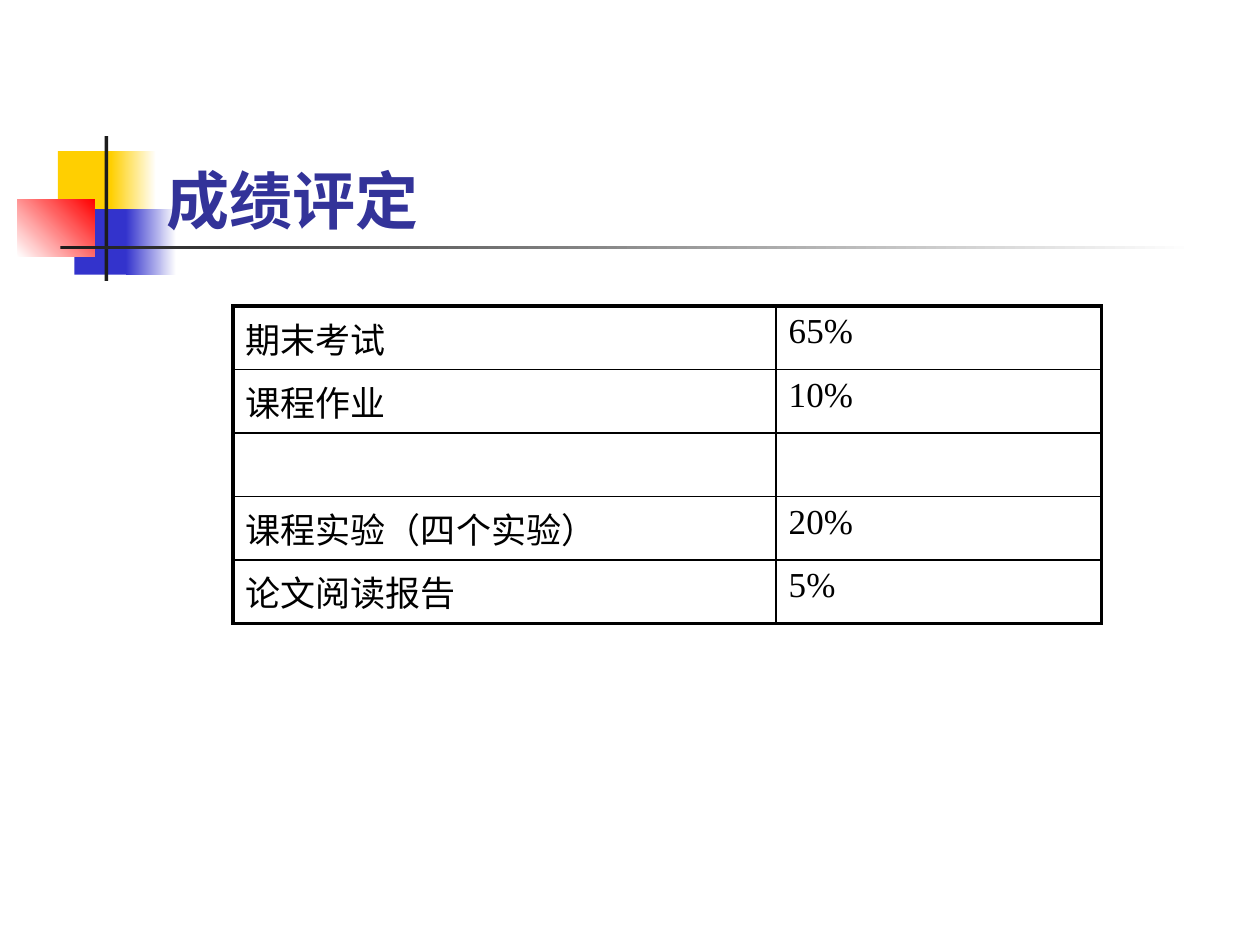
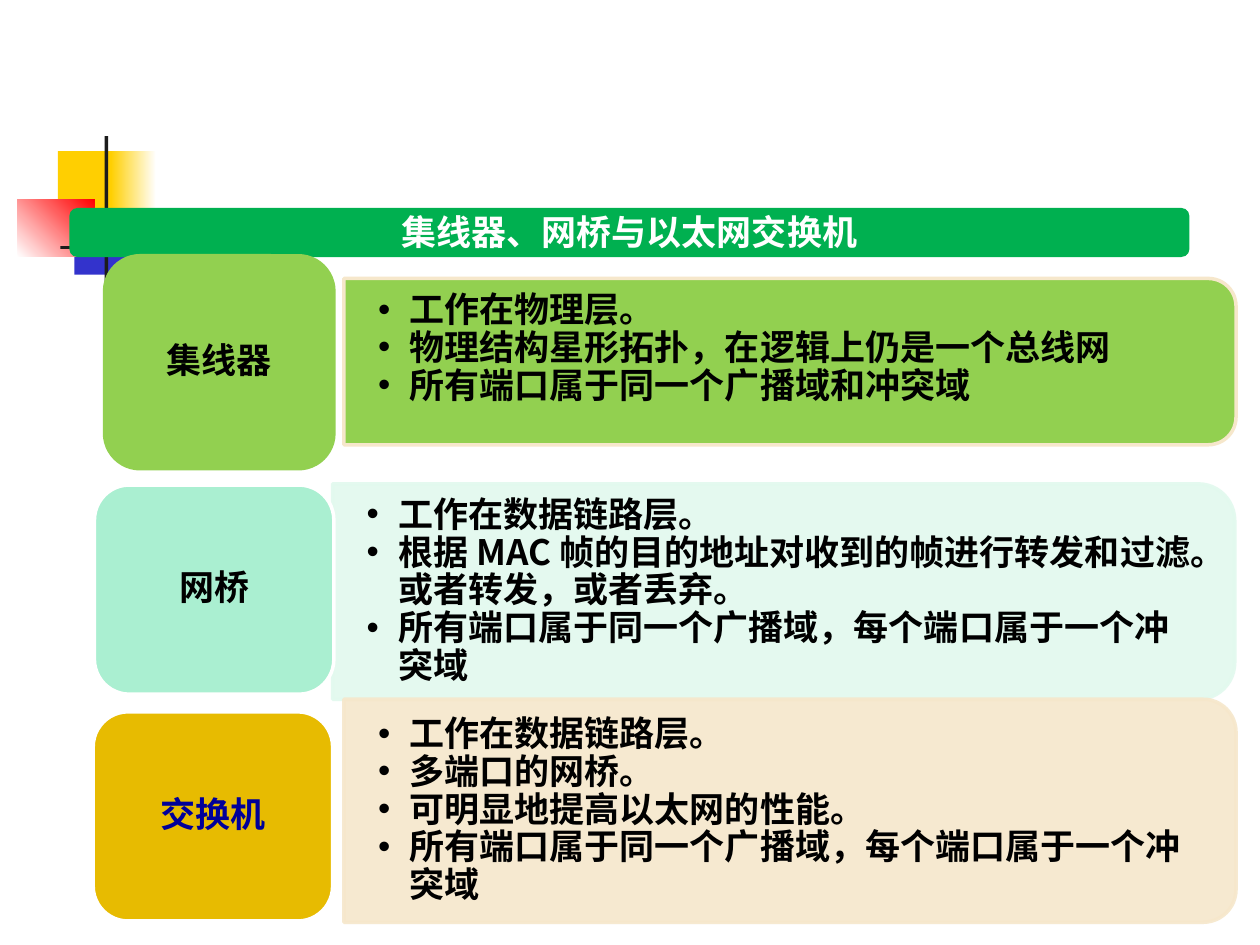
from math import cos, pi, sin

from lxml import etree
from pptx import Presentation
from pptx.dml.color import RGBColor
from pptx.enum.shapes import MSO_SHAPE as Shape
from pptx.enum.text import MSO_ANCHOR as Anchor, PP_ALIGN as Align
from pptx.oxml.ns import qn
from pptx.util import Inches, Pt

COLORS = {
    "yellow": "FFCF01", "blue": "3333CC", "red": "FF0000", "ink": "1C1C1C",
    "white": "FFFFFF", "black": "000000", "title": "333399", "banner": "00B050",
    "hub": "92D050", "bridge": "AAEFD1", "bridge_pale": "E2F9EE",
    "switch": "E7BB01", "switch_pale": "F6E7CB", "navy": "000099",
}
CJK_FONT = "Noto Sans CJK SC"
LATIN_FONT = "Times New Roman"
TITLE_FONT = "Cabin"

DECORATION = [
    (0.46, 1.2, 0.48, 0.52, ["yellow"], 0),
    (0.88, 1.2, 0.36, 0.52, ["yellow", "white"], 0),
    (0.59, 1.66, 0.46, 0.52, ["blue"], 0),
    (1, 1.66, 0.4, 0.52, ["blue", "white"], 0),
    (0.14, 1.58, 0.61, 0.46, ["white", "red"], 45),
    (0.83, 1.08, 0.03, 1.15, ["ink"], 0),
    (0.48, 1.95, 9, 0.03, ["ink", "white"], 0),
]
GRADES = [
    ("期末考试", "65%"),
    ("课程作业", "10%"),
    ("", ""),
    ("课程实验（四个实验）", "20%"),
    ("论文阅读报告", "5%"),
]
BRIDGE_POINTS = [
    "工作在数据链路层。",
    "根据 MAC 帧的目的地址对收到的帧进行转发和过滤。或者转发，或者丢弃。",
    "所有端口属于同一个广播域，每个端口属于一个冲突域",
]
SWITCH_POINTS = [
    "工作在数据链路层。",
    "多端口的网桥。",
    "可明显地提高以太网的性能。",
    "所有端口属于同一个广播域，每个端口属于一个冲突域",
]
HUB_POINTS = [
    "工作在物理层。",
    "物理结构星形拓扑，在逻辑上仍是一个总线网",
    "所有端口属于同一个广播域和冲突域",
]


def color(name):
    return RGBColor.from_string(COLORS[name])


def inches(*values):
    return [Inches(value) for value in values]


def style_font(paragraph, name, size, tone, bold=True):
    font = paragraph.font
    font.name, font.size, font.bold = name, Pt(size), bold
    font.color.rgb = color(tone)


def set_insets(frame, left, top, right, bottom):
    frame.margin_left, frame.margin_top, frame.margin_right, frame.margin_bottom = inches(
        left, top, right, bottom)


def paint(shape, fill, line=None):
    shape.shadow.inherit = False
    shape.fill.solid()
    shape.fill.fore_color.rgb = color(fill)
    if line:
        shape.line.color.rgb = color(line)
        shape.line.width = Pt(2)
    else:
        shape.line.fill.background()


def make_translucent(shape, percent):
    for tone in shape._element.spPr.iter(qn("a:srgbClr")):
        etree.SubElement(tone, qn("a:alpha"), val=str(percent * 1000))


def add_block(page, kind, place, fill, line=None):
    block = page.shapes.add_shape(kind, *inches(*place))
    paint(block, fill, line)
    return block


def add_decoration(page):
    for *place, tones, angle in DECORATION:
        block = add_block(page, Shape.RECTANGLE, place, tones[0])
        if len(tones) > 1:
            block.fill.gradient()
            block.fill.gradient_angle = angle
            for position, (stop, tone) in enumerate(zip(block.fill.gradient_stops, tones)):
                stop.color.rgb = color(tone)
                stop.position = position


def place_title(page, text, place, font, size, tone, align):
    title = page.shapes.title
    title.left, title.top, title.width, title.height = inches(*place)
    page.shapes._spTree.append(title._element)
    frame = title.text_frame
    frame.word_wrap = True
    frame.vertical_anchor = Anchor.TOP
    set_insets(frame, 0.1, 0.05, 0.1, 0.05)
    frame.text = text
    paragraph = frame.paragraphs[0]
    paragraph.alignment = align
    style_font(paragraph, font, size, tone)


def draw_border(cell, side, points):
    line = etree.SubElement(cell._tc.get_or_add_tcPr(), qn(f"a:ln{side}"), w=str(Pt(points)))
    fill = etree.SubElement(line, qn("a:solidFill"))
    etree.SubElement(fill, qn("a:srgbClr"), val=COLORS["black"])


def add_grade_table(page):
    rows, columns = len(GRADES), len(GRADES[0])
    frame = page.shapes.add_table(rows, columns, *inches(1.85, 2.43, 6.89, 0.5 * rows))
    table = frame.table
    table.first_row = table.horz_banding = False
    for column, width in zip(table.columns, (4.31, 2.58)):
        column.width = Inches(width)
    for r, grade in enumerate(GRADES):
        for c, text in enumerate(grade):
            cell = table.cell(r, c)
            cell.text = text
            style_font(cell.text_frame.paragraphs[0], LATIN_FONT if c else CJK_FONT,
                       20, "black", bold=False)
            outer = {"L": c == 0, "R": c == columns - 1, "T": r == 0, "B": r == rows - 1}
            for side, is_outer in outer.items():
                draw_border(cell, side, 2.25 if is_outer else 1)
            cell.fill.background()


def add_tab(page, text, place, fill, line, tone="black"):
    tab = add_block(page, Shape.ROUNDED_RECTANGLE, place, fill, line)
    frame = tab.text_frame
    frame.word_wrap = True
    frame.vertical_anchor = Anchor.MIDDLE
    frame.text = text
    paragraph = frame.paragraphs[0]
    paragraph.alignment = Align.CENTER
    paragraph.line_spacing = 0.9
    style_font(paragraph, CJK_FONT, 20, tone)


def right_rounded_outline(left, top, width, height, radius, steps=12):
    right, bottom = left + width, top + height
    quarter = [pi / 2 * step / steps for step in range(steps + 1)]
    upper = [(right - radius + radius * sin(a), top + radius - radius * cos(a)) for a in quarter]
    lower = [(right - radius + radius * cos(a), bottom - radius + radius * sin(a)) for a in quarter]
    return [(left, top), *upper, *lower, (left, bottom)]


def add_bullet(paragraph):
    properties = paragraph._p.get_or_add_pPr()
    properties.set("marL", str(Inches(0.25)))
    properties.set("indent", str(Inches(-0.25)))
    etree.SubElement(properties, qn("a:buFont"), typeface="Arial")
    etree.SubElement(properties, qn("a:buChar"), char="•")


def add_panel(page, points, place, radius, fill, line, anchor=Anchor.MIDDLE):
    start, *others = [inches(*point) for point in right_rounded_outline(*place, radius)]
    builder = page.shapes.build_freeform(*start)
    builder.add_line_segments(others, close=True)
    panel = builder.convert_to_shape()
    paint(panel, fill, line)
    frame = panel.text_frame
    frame.word_wrap = True
    frame.vertical_anchor = anchor
    set_insets(frame, 0.27, 0.11, 0.35, 0.11)
    for index, point in enumerate(points):
        paragraph = frame.add_paragraph() if index else frame.paragraphs[0]
        paragraph.text = point
        add_bullet(paragraph)
        paragraph.alignment = Align.LEFT
        paragraph.line_spacing = 0.9
        style_font(paragraph, CJK_FONT, 20, "black")
    return panel


def add_page(deck):
    page = deck.slides.add_slide(deck.slide_layouts[5])
    add_decoration(page)
    return page


def build_grading_page(deck):
    page = add_page(deck)
    add_grade_table(page)
    place_title(page, "成绩评定", (1.22, 1.23, 5.04, 0.71), TITLE_FONT, 36, "title", Align.LEFT)


def build_devices_page(deck):
    page = add_page(deck)
    add_block(page, Shape.ROUNDED_RECTANGLE, (0.55, 1.65, 8.89, 0.39), "banner")
    place_title(page, "集线器、网桥与以太网交换机", (2.57, 1.62, 4.85, 0.44),
                CJK_FONT, 20, "white", Align.CENTER)

    bridge = add_panel(page, BRIDGE_POINTS, (2.64, 3.84, 7.16, 1.71), 0.29,
                       "bridge_pale", "bridge_pale")
    add_tab(page, "网桥", (0.75, 3.85, 1.9, 1.66), "bridge", "white")
    switch = add_panel(page, SWITCH_POINTS, (2.73, 5.55, 7.08, 1.77), 0.26,
                       "switch_pale", "switch_pale")
    add_tab(page, "交换机", (0.74, 5.65, 1.9, 1.66), "switch", "white", "navy")
    for panel in (bridge, switch):
        make_translucent(panel, 90)

    add_tab(page, "集线器", (0.83, 2.03, 1.82, 1.69), "hub", "hub")
    add_panel(page, HUB_POINTS, (2.73, 2.21, 7.08, 1.32), 0.22, "hub", "switch_pale", Anchor.TOP)


def main():
    deck = Presentation()
    deck.slide_width, deck.slide_height = inches(10, 7.5)
    build_grading_page(deck)
    build_devices_page(deck)
    deck.save("out.pptx")


if __name__ == "__main__":
    main()
